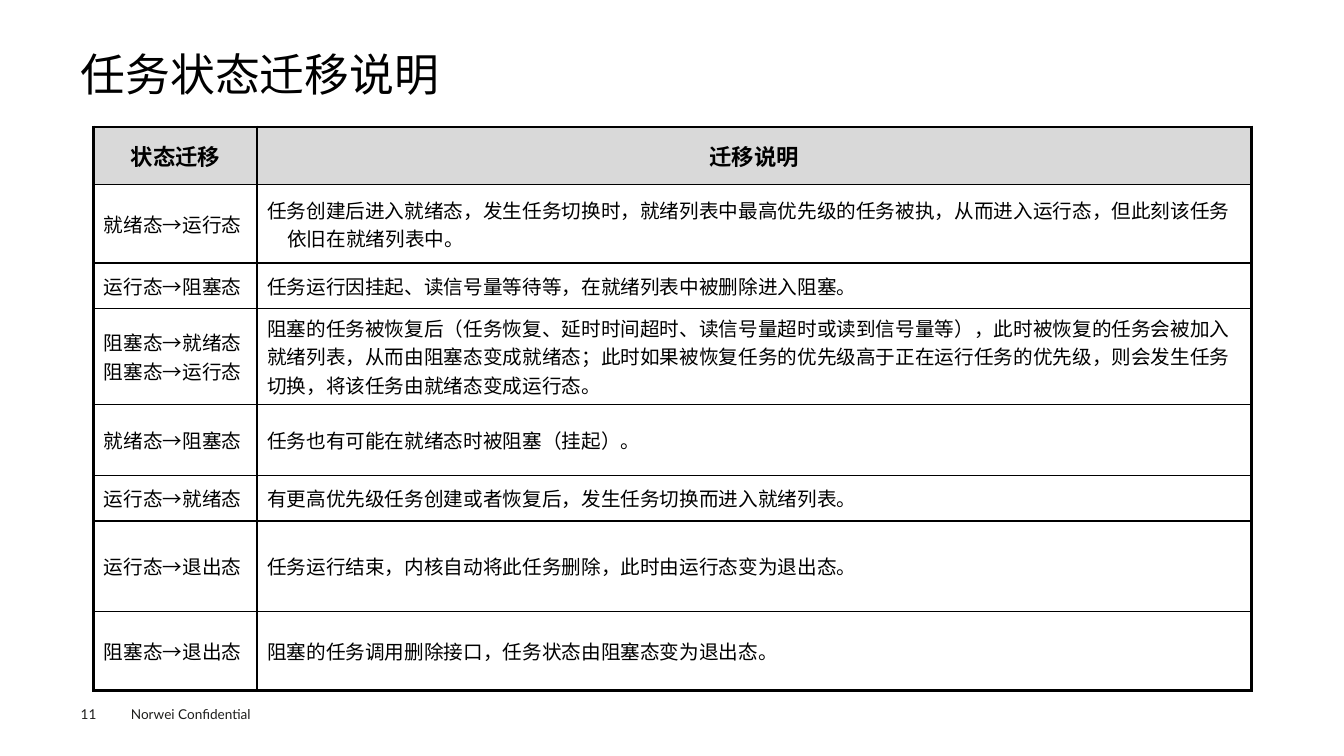
from lxml.etree import SubElement
from pptx import Presentation
from pptx.dml.color import RGBColor
from pptx.enum.text import MSO_ANCHOR as Anchor, PP_ALIGN as Align
from pptx.oxml.ns import qn
from pptx.util import Inches, Pt

BLACK = RGBColor(0x00, 0x00, 0x00)
FOOTER_GREY = RGBColor(0x1D, 0x1D, 0x1B)
HEADER_GREY = RGBColor(0xD9, 0xD9, 0xD9)
FONT = "Lato"
OUTER_WIDTH, INNER_WIDTH = 2.25, 1


def write(frame, text, size, color=BLACK, bold=False, align=Align.LEFT,
          anchor=Anchor.TOP, line_spacing=None, hanging=False):
    frame.word_wrap = True
    frame.vertical_anchor = anchor
    frame.text = text
    for paragraph in frame.paragraphs:
        paragraph.alignment = align
        paragraph.line_spacing = line_spacing
        if hanging:
            properties = paragraph._p.get_or_add_pPr()
            properties.set("marL", str(Inches(0.2)))
            properties.set("indent", str(Inches(-0.2)))
        for run in paragraph.runs:
            run.font.name = FONT
            run.font.size = Pt(size)
            run.font.bold = bold
            run.font.color.rgb = color


def set_border(cell, side, width):
    line = SubElement(cell._tc.get_or_add_tcPr(), qn(f"a:ln{side}"), w=str(Pt(width)))
    fill = SubElement(line, qn("a:solidFill"))
    SubElement(fill, qn("a:srgbClr"), val=str(BLACK))


presentation = Presentation()
presentation.slide_width = Inches(13.33)
presentation.slide_height = Inches(7.5)
slide = presentation.slides.add_slide(presentation.slide_layouts[6])

footer = slide.shapes.add_textbox(Inches(1.2), Inches(6.95), Inches(1.6), Inches(0.27))
write(footer.text_frame, "Norwei Confidential", 9.7, color=FOOTER_GREY)

number = slide.shapes.add_textbox(Inches(0.8), Inches(7), Inches(0.55), Inches(0.16))
write(number.text_frame, "11", 9.7, color=FOOTER_GREY)

title = slide.shapes.add_textbox(Inches(0.8), Inches(0.49), Inches(11.73), Inches(0.54))
write(title.text_frame, "任务状态迁移说明", 32, anchor=Anchor.MIDDLE, line_spacing=0.9)

for box in (number, title):
    frame = box.text_frame
    frame.margin_left = frame.margin_right = frame.margin_top = frame.margin_bottom = 0

transitions = [
    (0.57, "状态迁移", "迁移说明"),
    (0.78, "就绪态→运行态",
     "任务创建后进入就绪态，发生任务切换时，就绪列表中最高优先级的任务被执，"
     "从而进入运行态，但此刻该任务依旧在就绪列表中。"),
    (0.45, "运行态→阻塞态", "任务运行因挂起、读信号量等待等，在就绪列表中被删除进入阻塞。"),
    (0.95, "阻塞态→就绪态\n阻塞态→运行态",
     "阻塞的任务被恢复后（任务恢复、延时时间超时、读信号量超时或读到信号量等），"
     "此时被恢复的任务会被加入就绪列表，从而由阻塞态变成就绪态；"
     "此时如果被恢复任务的优先级高于正在运行任务的优先级，则会发生任务切换，"
     "将该任务由就绪态变成运行态。"),
    (0.71, "就绪态→阻塞态", "任务也有可能在就绪态时被阻塞（挂起）。"),
    (0.45, "运行态→就绪态", "有更高优先级任务创建或者恢复后，发生任务切换而进入就绪列表。"),
    (0.9, "运行态→退出态", "任务运行结束，内核自动将此任务删除，此时由运行态变为退出态。"),
    (0.78, "阻塞态→退出态", "阻塞的任务调用删除接口，任务状态由阻塞态变为退出态。"),
]
last_row = len(transitions) - 1
table_height = sum(height for height, *_ in transitions)
table = slide.shapes.add_table(len(transitions), 2, Inches(0.93), Inches(1.26),
                               Inches(11.48), Inches(table_height)).table
table.first_row = False
table.horz_banding = False
table.columns[0].width = Inches(1.62)
table.columns[1].width = Inches(9.86)

for row, (height, *texts) in enumerate(transitions):
    table.rows[row].height = Inches(height)
    is_header = row == 0
    for column, text in enumerate(texts):
        cell = table.cell(row, column)
        cell.vertical_anchor = Anchor.MIDDLE
        write(cell.text_frame, text, 16 if is_header else 14, bold=is_header,
              align=Align.CENTER if is_header else Align.LEFT,
              hanging=column == 1 and row < 2)
        outer_sides = {"L": column == 0, "R": column == 1,
                       "T": is_header, "B": row == last_row}
        for side, is_outer in outer_sides.items():
            set_border(cell, side, OUTER_WIDTH if is_outer else INNER_WIDTH)
        if is_header:
            cell.fill.solid()
            cell.fill.fore_color.rgb = HEADER_GREY
        else:
            cell.fill.background()

presentation.save("out.pptx")
